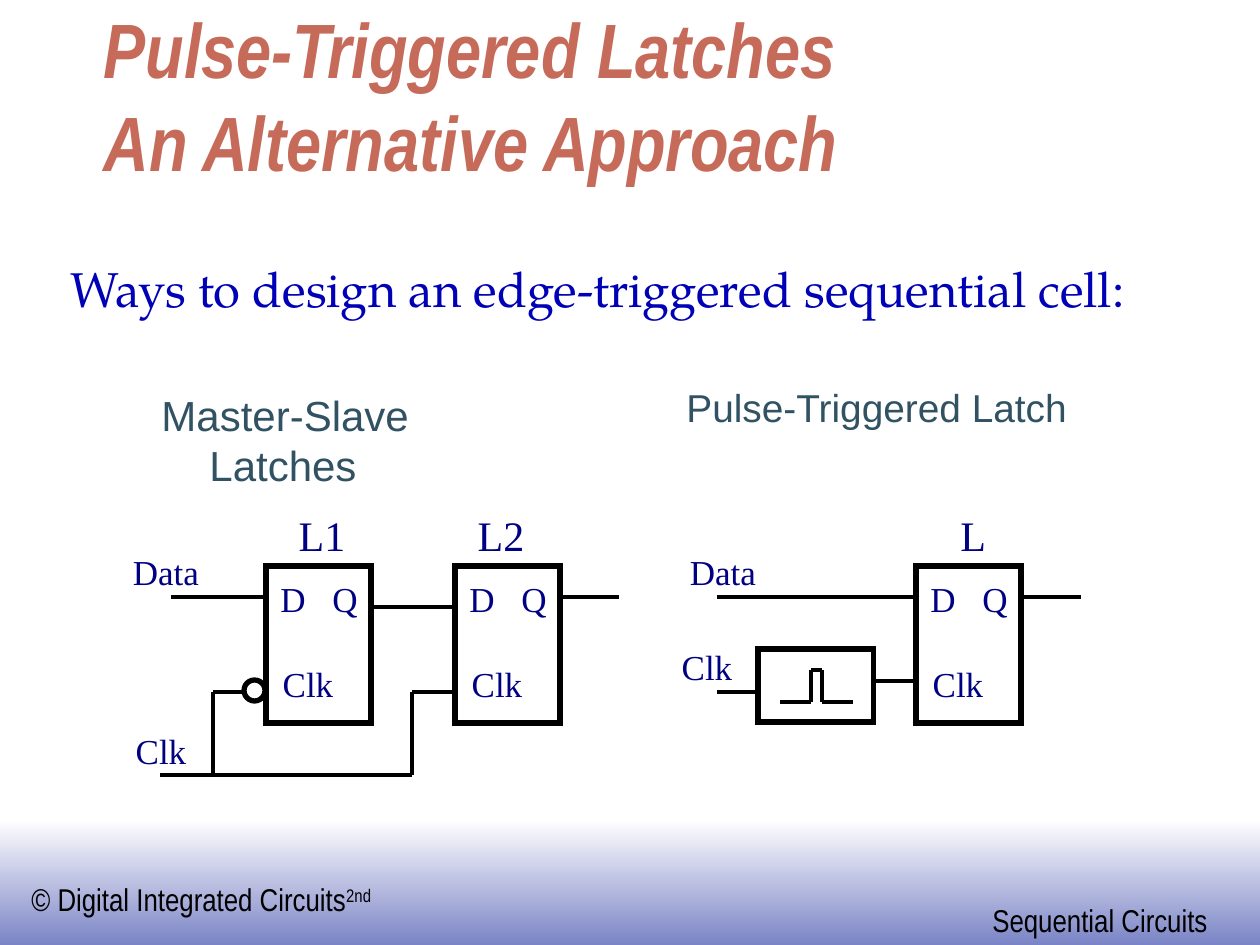
import pptx
import pptx.dml.color
import pptx.enum.shapes
import pptx.enum.text
import pptx.oxml.ns
import pptx.util
from lxml import etree

ALIGN = pptx.enum.text.PP_ALIGN
ANCHOR = pptx.enum.text.MSO_ANCHOR
SHAPE = pptx.enum.shapes.MSO_SHAPE
PX = 914400 // 126

THEME = {
    "bar": ("FFFFFF", "7B84C6"), "line": "000000", "white": "FFFFFF",
    "box_width": 3, "wire_width": 2.25,
    # text styles: font, size, colour
    "title": ("Arial Narrow", 44, "C66B5A"),
    "lead": ("TeX Gyre Pagella", 28, "0000B6"),
    "master_slave": ("Arial", 24, "315263"),
    "pulse": ("Arial", 22.2, "315263"),
    "pin": ("Times New Roman", 20, "000082"),
    "name": ("Times New Roman", 24, "000082"),
    "footer": ("Arial Narrow", 18, "000000"),
}

# Content: boxes are (left, top, width, height) in px
TITLE_LINES = ["Pulse-Triggered Latches", "An Alternative Approach"]
LEAD = ("Ways to design an edge-triggered sequential cell:", (58, 252, 1162, 72))
HEADINGS = [
    ("Master-Slave Latches", "master_slave", 149, 1.0),
    ("Pulse-Triggered Latch", "pulse", 674, 0.9),
]
BOOK, EDITION = "© Digital Integrated Circuits", "2nd"
CHAPTER = "Sequential Circuits"

LATCHES = [  # left edge, name, box of the name
    (266, "L1", (286, 503, 72, 63)),
    (455, "L2", (465, 503, 72, 63)),
    (916, "L", (948, 503, 50, 63)),
]
LATCH_TOP, LATCH_WIDTH, LATCH_HEIGHT = 566, 105, 157
PINS = [  # text, offset from the latch, top, width
    ("D", 0, 571, 54),
    ("Clk", -1, 656, 86),
    ("Q", 52, 571, 54),
]
SIGNALS = [  # text, left, top, width
    ("Data", 118, 544, 96),
    ("Clk", 118, 723, 86),
    ("Data", 675, 544, 96),
    ("Clk", 664, 639, 86),
]
SIGNAL_HEIGHT = 55
PULSE_BOX = (758, 649, 116, 73)
BUBBLE = (244, 680, 21, 21)

DATA_Y, CLOCK_Y, BUS_Y = 597, 692, 775
WIRES = [  # corner points of each wire
    [(171, DATA_Y), (266, DATA_Y)],
    [(371, 607), (455, 607)],
    [(560, DATA_Y), (619, DATA_Y)],
    [(160, BUS_Y), (412, BUS_Y), (412, CLOCK_Y), (455, CLOCK_Y)],
    [(213, BUS_Y), (213, CLOCK_Y), (262, CLOCK_Y)],
    [(717, DATA_Y), (916, DATA_Y)],
    [(1021, DATA_Y), (1081, DATA_Y)],
    [(717, CLOCK_Y), (758, CLOCK_Y)],
    [(874, 681), (916, 681)],
    [(780, 702), (811, 702), (811, 670), (822, 670), (822, 702), (853, 702)],
]


def color(value):
    return pptx.dml.color.RGBColor.from_string(value)


def px(*values):
    return [pptx.util.Emu(value * PX) for value in values]


def style(paragraph, name):
    font = paragraph.font
    font.name, size, shade = THEME[name]
    font.size = pptx.util.Pt(size)
    font.color.rgb = color(shade)


def add_text(slide, text, box, name, align=ALIGN.LEFT, anchor=ANCHOR.TOP, wrap=False):
    frame = slide.shapes.add_textbox(*px(*box)).text_frame
    frame.word_wrap = wrap
    frame.vertical_anchor = anchor
    paragraph = frame.paragraphs[0]
    paragraph.text = text
    paragraph.alignment = align
    style(paragraph, name)
    return paragraph


def add_label(slide, text, box, name="pin", wrap=True):
    add_text(slide, text, box, name, ALIGN.CENTER, ANCHOR.MIDDLE, wrap)


def add_outline(slide, kind, box, fill=None):
    shape = slide.shapes.add_shape(kind, *px(*box))
    shape.shadow.inherit = False
    if fill:
        shape.fill.solid()
        shape.fill.fore_color.rgb = color(fill)
    else:
        shape.fill.background()
    shape.line.color.rgb = color(THEME["line"])
    shape.line.width = pptx.util.Pt(THEME["box_width"])
    # Square corners
    line = shape.line._get_or_add_ln()
    etree.SubElement(line, pptx.oxml.ns.qn("a:miter")).set("lim", "800000")


def add_wire(slide, points):
    for start, end in zip(points, points[1:]):
        wire = slide.shapes.add_connector(
            pptx.enum.shapes.MSO_CONNECTOR.STRAIGHT, *px(*start, *end))
        wire.line.color.rgb = color(THEME["line"])
        wire.line.width = pptx.util.Pt(THEME["wire_width"])
        etree.SubElement(wire._element.spPr, pptx.oxml.ns.qn("a:effectLst"))


def add_footer(slide):
    bar = slide.shapes.add_shape(SHAPE.RECTANGLE, *px(0, 819, 1260, 126))
    bar.shadow.inherit = False
    bar.line.fill.background()
    bar.fill.gradient()
    bar.fill.gradient_angle = 270
    for stop, shade in zip(bar.fill.gradient_stops, THEME["bar"]):
        stop.color.rgb = color(shade)
    book = add_text(slide, BOOK, (19, 874, 390, 50), "footer")
    edition = book.add_run()
    edition.text = EDITION
    edition._r.get_or_add_rPr().set("baseline", "30000")
    add_text(slide, CHAPTER, (980, 895, 250, 50), "footer")


def add_title(slide):
    title = slide.shapes.title
    title.left, title.top, title.width, title.height = px(91, 95, 1071, 98)
    frame = title.text_frame
    frame.auto_size = pptx.enum.text.MSO_AUTO_SIZE.NONE
    frame.vertical_anchor = ANCHOR.BOTTOM
    paragraph = frame.paragraphs[0]
    for index, line in enumerate(TITLE_LINES):
        if index:
            paragraph.add_line_break()
        paragraph.add_run().text = line
    paragraph.alignment = ALIGN.LEFT
    style(paragraph, "title")
    paragraph.font.bold = paragraph.font.italic = True


def add_headings(slide):
    add_text(slide, *LEAD, "lead")
    for text, name, left, spacing in HEADINGS:
        paragraph = add_text(slide, text, (left, 383, 410, 84), name, wrap=True)
        paragraph.space_before = pptx.util.Pt(6)
        paragraph.line_spacing = spacing
        indent = px(48)[0]
        properties = paragraph._p.get_or_add_pPr()
        properties.set("marL", str(indent))
        properties.set("indent", str(-indent))


def add_circuits(slide):
    for points in WIRES:
        add_wire(slide, points)
    add_outline(slide, SHAPE.RECTANGLE, PULSE_BOX)
    for left, name, name_box in LATCHES:
        add_outline(slide, SHAPE.RECTANGLE, (left, LATCH_TOP, LATCH_WIDTH, LATCH_HEIGHT))
        add_label(slide, name, name_box, "name", wrap=False)
        for pin, offset, top, width in PINS:
            add_label(slide, pin, (left + offset, top, width, SIGNAL_HEIGHT))
    add_outline(slide, SHAPE.OVAL, BUBBLE, THEME["white"])
    for text, left, top, width in SIGNALS:
        add_label(slide, text, (left, top, width, SIGNAL_HEIGHT))


def main():
    presentation = pptx.Presentation()
    presentation.slide_width, presentation.slide_height = px(1260, 945)
    slide = presentation.slides.add_slide(presentation.slide_layouts[5])
    add_footer(slide)
    add_title(slide)
    add_headings(slide)
    add_circuits(slide)
    presentation.save("out.pptx")


if __name__ == "__main__":
    main()
